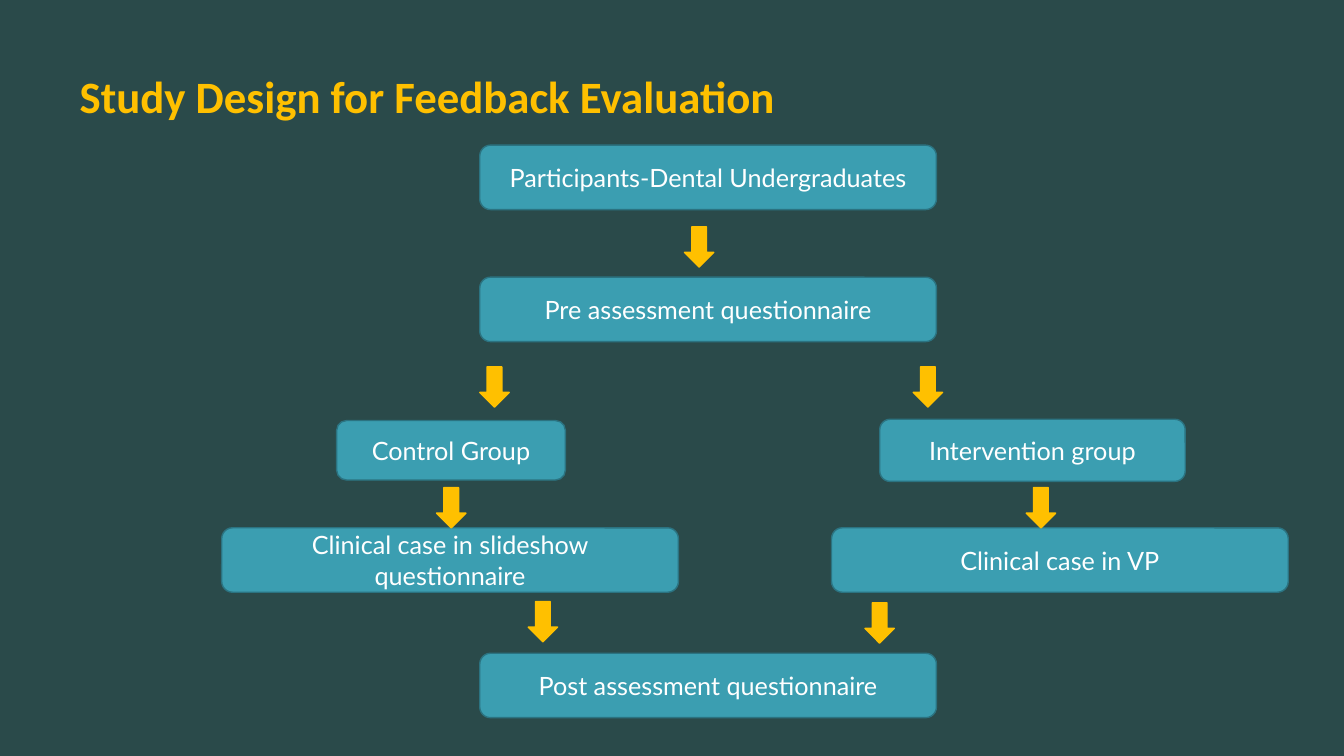
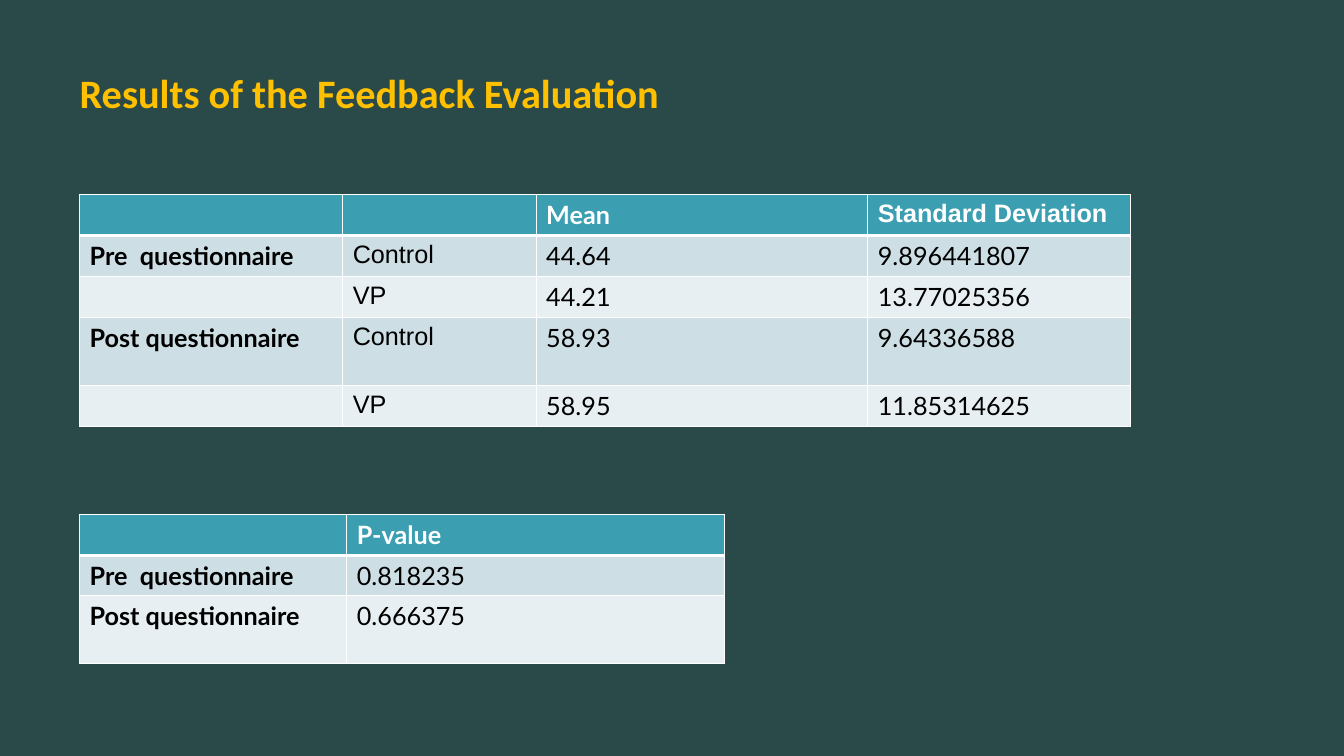
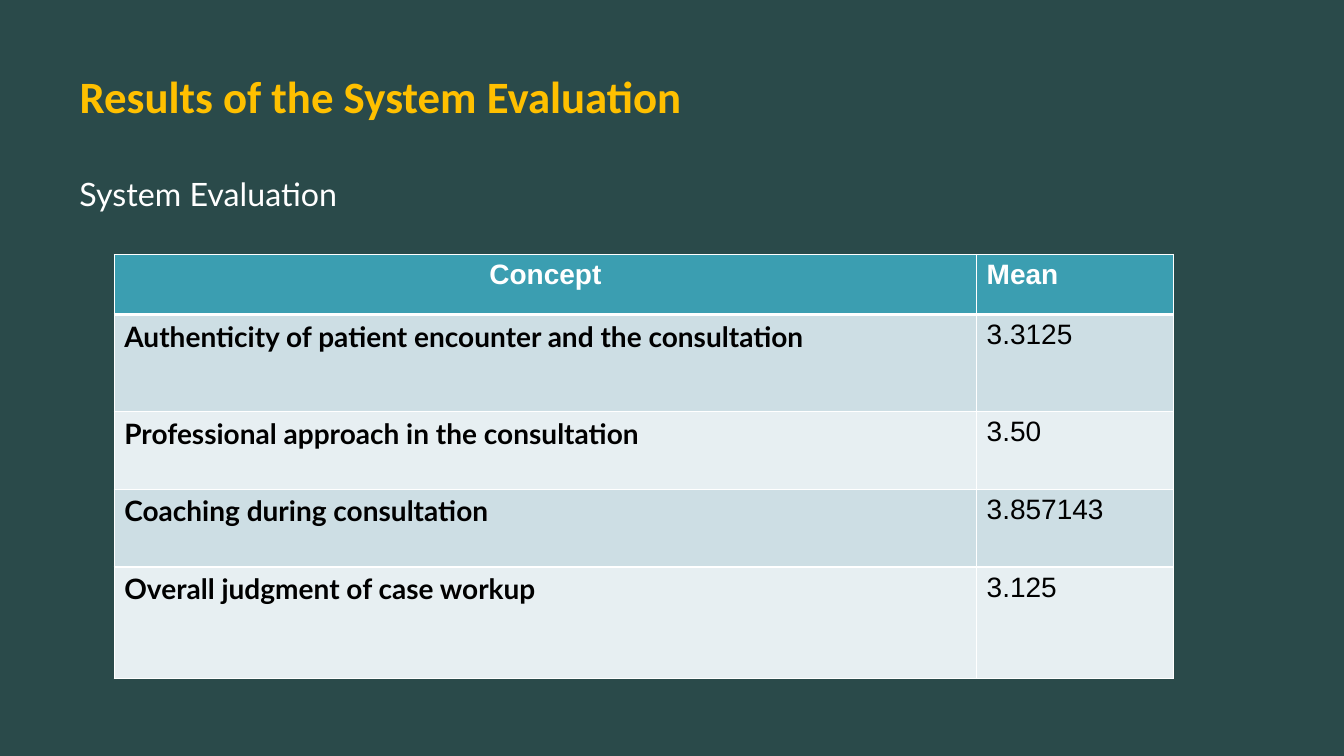
"""Build three slides on a dental study: its design and two sets of results."""
from dataclasses import dataclass

from lxml import etree
from pptx import Presentation
from pptx.dml.color import RGBColor
from pptx.enum import shapes, text
from pptx.oxml import ns
from pptx.util import Pt

HUES = {
    "back": "2A4A4A",
    "gold": "FFC000",
    "teal": "3B9EB1",
    "edge": "2B7381",
    "white": "FFFFFF",
    "black": "000000",
    "odd": "CDDEE4",
    "even": "E7EFF2",
}
KIND = shapes.MSO_SHAPE
ALIGN = text.PP_ALIGN
WIDE, TALL = 326.2, 46
MID = 342.7


@dataclass
class Box:
    """A labelled step of the flow."""
    label: str
    left: float
    top: float
    width: float = WIDE
    height: float = TALL


@dataclass
class Grid:
    """A table with a font for each column of its head and body."""
    left: float
    top: float
    size: float
    cols: list[float]
    rows: list[float]
    heads: list[str]
    fonts: list[str]
    cells: list[list[str]]
    first: ALIGN = ALIGN.LEFT


STEPS = [
    Box("Participants-Dental Undergraduates", MID, 103.7),
    Box("Pre assessment questionnaire", MID, 198),
    Box("Control Group", 240.5, 300.4, 163.4, 42.5),
    Box("Intervention group", 628.4, 299.5, 218.2, 44.4),
    Box("Clinical case in slideshow questionnaire", 158.4, 377),
    Box("Clinical case in VP", 594, 377),
    Box("Post assessment questionnaire", MID, 466.6),
]
ARROWS = [(488.9, 162), (733, 348.3), (311.8, 348.3), (652.3, 262),
          (342.7, 262), (617.8, 430.6), (377.3, 429.7)]
SCORES = Grid(
    56.9, 139, 18, [187.9, 138.2, 236.9, 187.9], [29.3, 29.3, 29.3, 48.5, 29.3],
    ["Lato", "Lato", "Lato", "Arial"], ["Lato", "Arial", "Lato", "Lato"],
    [["", "", "Mean", "Standard Deviation"],
     ["Pre  questionnaire", "Control", "44.64", "9.896441807"],
     ["", "VP", "44.21", "13.77025356"],
     ["Post questionnaire", "Control", "58.93", "9.64336588"],
     ["", "VP", "58.95", "11.85314625"]])
ODDS = Grid(
    56.9, 367.5, 18, [190.8, 270], [28.8, 28.8, 48.5],
    ["Lato", "Lato"], ["Lato", "Lato"],
    [["", "P-value"],
     ["Pre  questionnaire", "0.818235"],
     ["Post questionnaire", "0.666375"]])
SYSTEM = Grid(
    81.6, 181.8, 20, [616, 140.4], [42.8, 69.2, 55.6, 55.6, 79.7],
    ["Arial", "Arial"], ["Lato", "Arial"],
    [["Concept", "Mean"],
     ["Authenticity of patient encounter and the consultation", "3.3125"],
     ["Professional approach in the consultation", "3.50"],
     ["Coaching during consultation", "3.857143"],
     ["Overall judgment of case workup", "3.125"]],
    ALIGN.CENTER)


def tint(hue: str) -> RGBColor:
    """Look up a colour by name."""
    return RGBColor.from_string(HUES[hue])


def write(frame, words: str, *, size: float = 18, font: str = "Lato",
          hue: str = "white", bold: bool = False, align: ALIGN = ALIGN.LEFT) -> None:
    """Put formatted words in the first paragraph of a text frame."""
    para = frame.paragraphs[0]
    para.alignment = align
    run = para.add_run()
    run.text = words
    run.font.size = Pt(size)
    run.font.name = font
    run.font.bold = bold
    run.font.color.rgb = tint(hue)


def start(deck, words: str, size: float = 32):
    """Add a slide with its title."""
    slide = deck.slides.add_slide(deck.slide_layouts[5])
    title = slide.shapes.title
    title.left, title.top, title.width, title.height = map(Pt, (56.9, 49, 844.6, 63.4))
    frame = title.text_frame
    frame.margin_left = frame.margin_right = frame.margin_top = frame.margin_bottom = 0
    frame.vertical_anchor = text.MSO_ANCHOR.TOP
    frame.auto_size = text.MSO_AUTO_SIZE.NONE
    frame.word_wrap = True
    write(frame, words, size=size, font="Calibri", hue="gold", bold=True)
    return slide


def block(slide, kind: KIND, spot: tuple[float, ...], fill: str, edge: str):
    """Add a filled and outlined shape."""
    shape = slide.shapes.add_shape(kind, *map(Pt, spot))
    shape.shadow.inherit = False
    shape.fill.solid()
    shape.fill.fore_color.rgb = tint(fill)
    shape.line.color.rgb = tint(edge)
    shape.line.width = Pt(1)
    return shape


def step(slide, box: Box) -> None:
    """Draw one step of the flow."""
    spot = (box.left, box.top, box.width, box.height)
    shape = block(slide, KIND.ROUNDED_RECTANGLE, spot, "teal", "edge")
    frame = shape.text_frame
    frame.word_wrap = True
    frame.vertical_anchor = text.MSO_ANCHOR.MIDDLE
    write(frame, box.label, align=ALIGN.CENTER)


def rule(cell, row: int) -> None:
    """Give a cell white borders, thick beneath the head row."""
    props = cell._tc.get_or_add_tcPr()
    widths = {"L": 1, "R": 1, "T": 3 if row == 1 else 1, "B": 1 if row else 3}
    for spot, (side, width) in enumerate(widths.items()):
        line = etree.Element(ns.qn(f"a:ln{side}"), w=str(Pt(width)))
        fill = etree.SubElement(line, ns.qn("a:solidFill"))
        etree.SubElement(fill, ns.qn("a:srgbClr"), val=HUES["white"])
        props.insert(spot, line)


def table(slide, grid: Grid) -> None:
    """Draw a table."""
    size = (len(grid.rows), len(grid.cols))
    spot = (grid.left, grid.top, sum(grid.cols), sum(grid.rows))
    made = slide.shapes.add_table(*size, *map(Pt, spot)).table
    for col, width in zip(made.columns, grid.cols):
        col.width = Pt(width)
    for r, (height, line) in enumerate(zip(grid.rows, grid.cells)):
        made.rows[r].height = Pt(height)
        head = r == 0
        fonts = grid.heads if head else grid.fonts
        for c, words in enumerate(line):
            cell = made.cell(r, c)
            cell.fill.solid()
            cell.fill.fore_color.rgb = tint("teal" if head else "odd" if r % 2 else "even")
            rule(cell, r)
            if words:
                write(cell.text_frame, words, size=grid.size, font=fonts[c],
                      hue="white" if head else "black", bold=head or c == 0,
                      align=grid.first if head and c == 0 else ALIGN.LEFT)


def main() -> None:
    """Build and save the deck."""
    deck = Presentation()
    deck.slide_width, deck.slide_height = Pt(960), Pt(540)
    back = deck.slide_master.background.fill
    back.solid()
    back.fore_color.rgb = tint("back")

    design = start(deck, "Study Design for Feedback Evaluation")
    for box in STEPS:
        step(design, box)
    for left, top in ARROWS:
        block(design, KIND.DOWN_ARROW, (left, top, 21, 28.8), "gold", "gold")

    results = start(deck, "Results of the Feedback Evaluation", 28.8)
    for grid in (SCORES, ODDS):
        table(results, grid)

    system = start(deck, "Results of the System Evaluation")
    table(system, SYSTEM)
    note = system.shapes.add_textbox(*map(Pt, (49.7, 121, 368.6, 35.3))).text_frame
    note.word_wrap = True
    note.auto_size = text.MSO_AUTO_SIZE.SHAPE_TO_FIT_TEXT
    write(note, "System Evaluation", size=23)

    deck.save("out.pptx")


if __name__ == "__main__":
    main()
